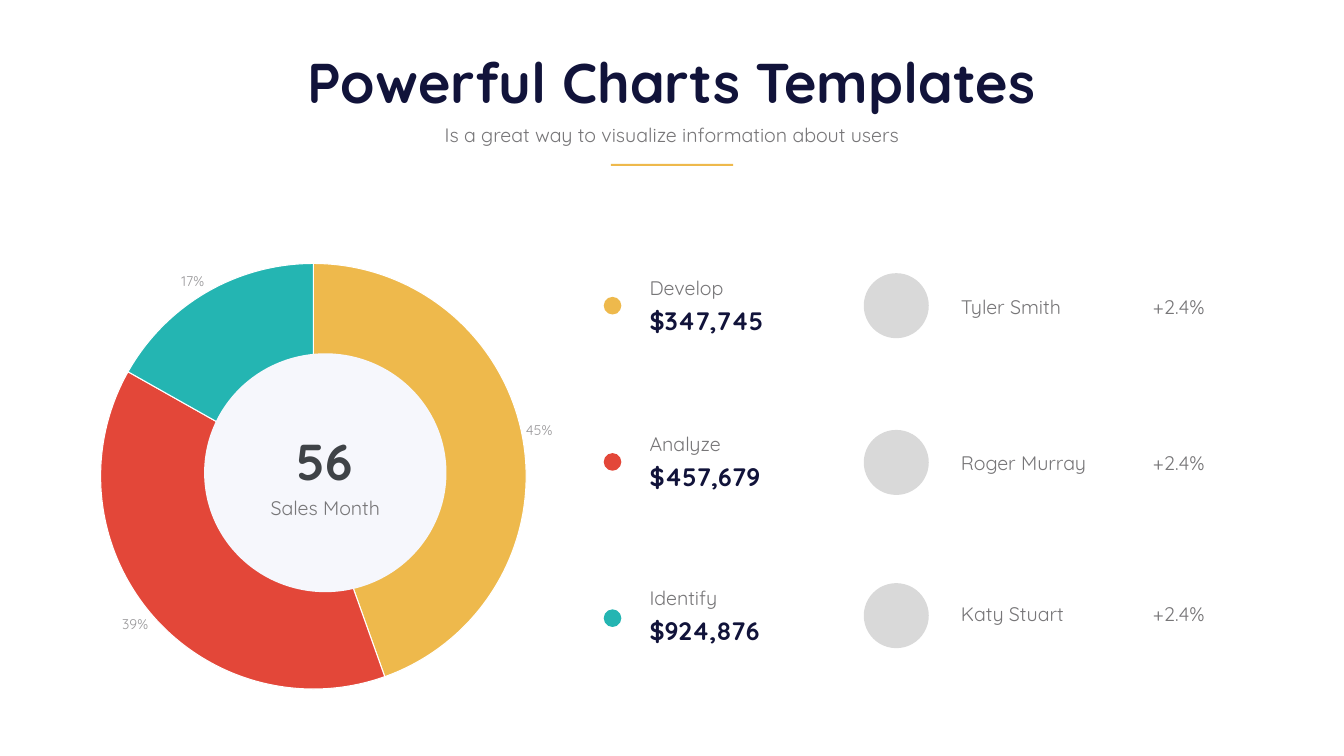
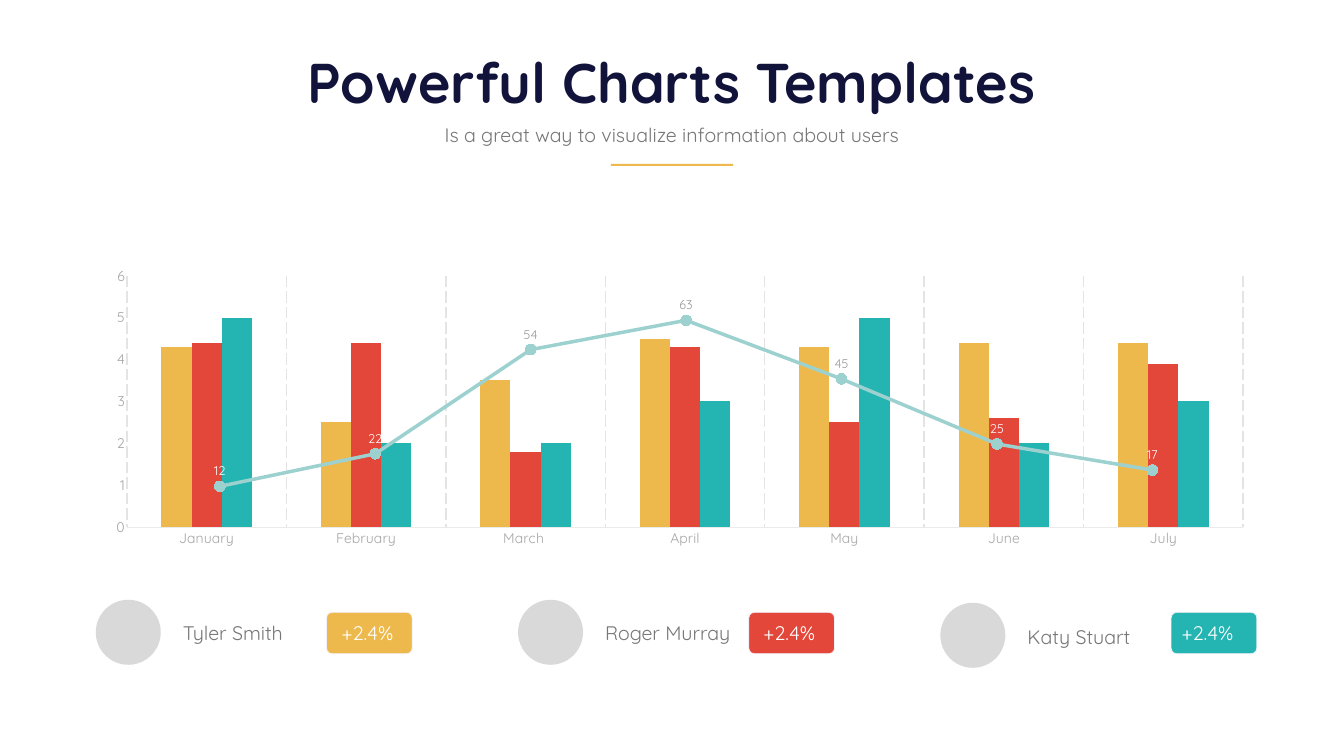
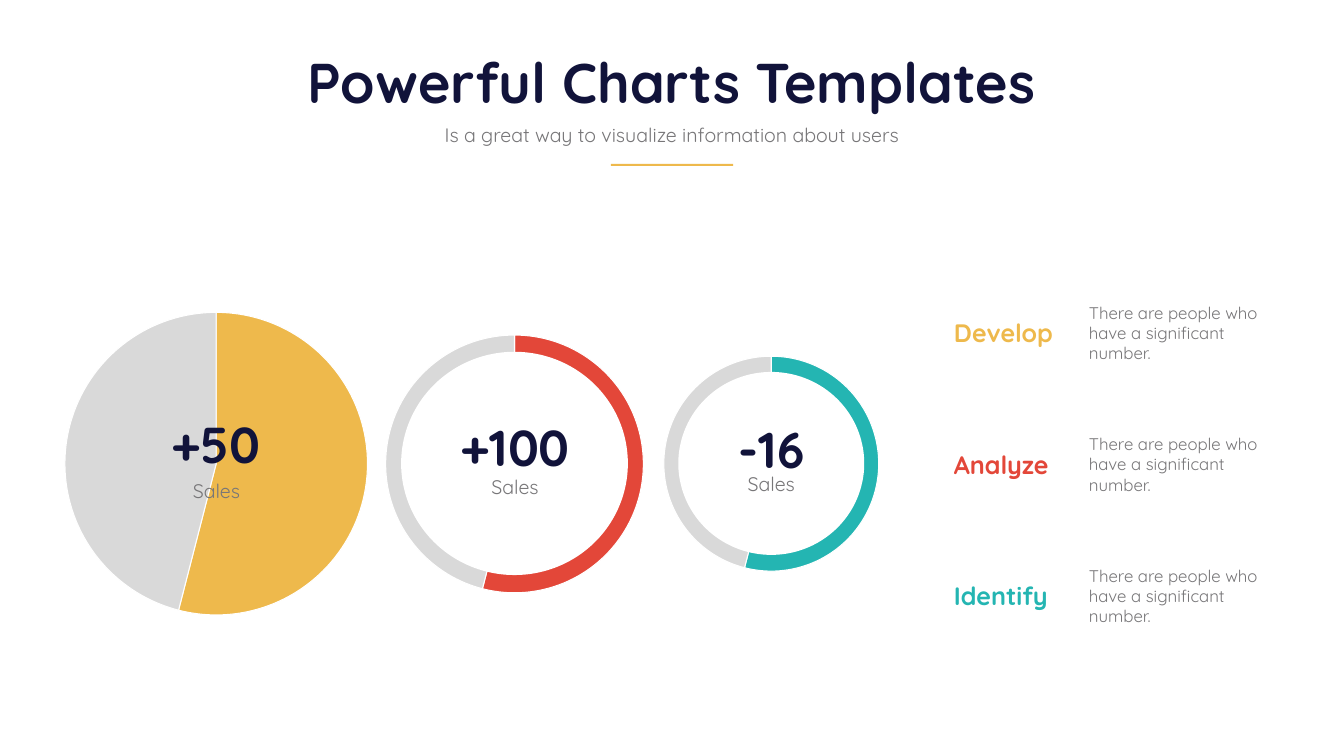
"""Builds three chart slides that share one heading."""
from lxml import etree
from pptx import Presentation
from pptx import util as u
from pptx.chart.data import CategoryChartData
from pptx.dml.color import RGBColor
from pptx.enum import chart as charts
from pptx.enum import dml, shapes, text

PX = 9144
FONT = "Quicksand"
NAVY = RGBColor(0x11, 0x13, 0x3A)
CHARCOAL = RGBColor(0x3F, 0x43, 0x47)
GREY = RGBColor(0x77, 0x76, 0x78)
LABEL_GREY = RGBColor(0x99, 0x98, 0x9A)
AXIS_GREY = RGBColor(0xA7, 0xA6, 0xA7)
AXIS_LINE = RGBColor(0xEB, 0xEA, 0xEB)
GRID_LINE = RGBColor(0xE4, 0xE4, 0xE4)
BADGE_LINE = RGBColor(0xF0, 0xF1, 0xFA)
SILVER = RGBColor(0xD9, 0xD9, 0xD9)
MIST = RGBColor(0xF6, 0xF7, 0xFC)
WHITE = RGBColor(0xFF, 0xFF, 0xFF)
AMBER = RGBColor(0xEE, 0xB9, 0x4C)
RED = RGBColor(0xE3, 0x47, 0x39)
TEAL = RGBColor(0x24, 0xB5, 0xB2)
PALE_TEAL = RGBColor(0x9C, 0xD1, 0xD0)
ACCENTS = (AMBER, RED, TEAL)
STEPS = ("Develop", "Analyze", "Identify")
PEOPLE = ("Tyler Smith", "Roger Murray", "Katy Stuart")
GROWTH = "+2.4%"
AVATAR = 129


def emu(*lengths):
    """Turn px lengths into EMU."""
    return [u.Emu(length * PX) for length in lengths]


def style_font(font, size, color, bold=False):
    """Set the face, size, colour and weight of a font."""
    font.name = FONT
    font.size = u.Pt(size)
    font.bold = bold
    font.color.rgb = color


def write(box, words, size, color, bold=False, centred=False):
    """Put one formatted paragraph into a box."""
    frame = box.text_frame
    frame.text = words
    frame.word_wrap = True
    frame.auto_size = text.MSO_AUTO_SIZE.SHAPE_TO_FIT_TEXT
    frame.vertical_anchor = text.MSO_ANCHOR.TOP
    para = frame.paragraphs[0]
    para.space_before = u.Pt(0)
    para.alignment = text.PP_ALIGN.CENTER if centred else text.PP_ALIGN.LEFT
    for span in para.runs:
        style_font(span.font, size, color, bold)


def add_text(page, place, words, size=28, color=GREY, bold=False):
    """Add a left-aligned text box."""
    box = page.shapes.add_textbox(*emu(*place))
    write(box, words, size, color, bold)


def add_centre_text(page, place, words, size=28, color=GREY, bold=False):
    """Add a centred text box with narrow margins."""
    box = page.shapes.add_textbox(*emu(*place))
    write(box, words, size, color, bold, centred=True)
    frame = box.text_frame
    frame.vertical_anchor = text.MSO_ANCHOR.MIDDLE
    (frame.margin_left, frame.margin_top,
     frame.margin_right, frame.margin_bottom) = emu(6, 6, 6, 6)


def add_shape(page, kind, place, fill):
    """Add a flat shape without outline."""
    shape = page.shapes.add_shape(kind, *emu(*place))
    shape.shadow.inherit = False
    shape.fill.solid()
    shape.fill.fore_color.rgb = fill
    shape.line.fill.background()
    return shape


def add_circle(page, place, fill):
    """Add a flat ellipse."""
    return add_shape(page, shapes.MSO_SHAPE.OVAL, place, fill)


def add_badge(page, place, fill):
    """Add a rounded, thinly outlined badge."""
    badge = add_shape(page, shapes.MSO_SHAPE.ROUNDED_RECTANGLE, place, fill)
    badge.adjustments[0] = 0.136
    badge.line.color.rgb = BADGE_LINE
    badge.line.width = u.Pt(1)


def add_page(deck):
    """Add a slide with the shared title, subtitle and rule."""
    page = deck.slides.add_slide(deck.slide_layouts[0])
    title, subtitle = page.shapes.title, page.placeholders[1]
    for box, place in ((title, (388, 90, 1890, 145)),
                       (subtitle, (855, 238, 956, 57))):
        box.left, box.top, box.width, box.height = emu(*place)
    write(title, "Powerful Charts Templates", 80, NAVY, True, True)
    write(subtitle, "Is a great way to visualize information about users",
          28, GREY, centred=True)
    add_shape(page, shapes.MSO_SHAPE.RECTANGLE, (1212, 325, 243, 4), AMBER)
    return page


def add_chart(page, kind, place, categories, *series, size=18):
    """Add a chart without title or legend."""
    data = CategoryChartData()
    data.categories = categories
    for number, values in enumerate(series, 1):
        data.add_series(f"Series {number}", values)
    chart = page.shapes.add_chart(kind, *emu(*place), data).chart
    chart.has_title = False
    chart.has_legend = False
    style_font(chart.font, size, GREY)
    return chart


def add_pie(page, place, values, colors):
    """Add a pie with one colour per slice and white edges."""
    categories = [str(number) for number in range(1, len(values) + 1)]
    chart = add_chart(page, charts.XL_CHART_TYPE.PIE, place, categories, values)
    for index, color in enumerate(colors):
        look = chart.plots[0].series[0].points[index].format
        look.fill.solid()
        look.fill.fore_color.rgb = color
        look.line.color.rgb = WHITE
        look.line.width = u.Pt(1.5)
    return chart


def set_plot_area(chart, **sides):
    """Fix the inner plot area as fractions of the chart."""
    area = chart.plots[0]._element.getparent()
    namespace = etree.QName(area).namespace
    for old in area.findall(f"{{{namespace}}}layout"):
        area.remove(old)
    layout = area.makeelement(f"{{{namespace}}}layout")
    area.insert(0, layout)
    manual = etree.SubElement(layout, f"{{{namespace}}}manualLayout")
    settings = {"layoutTarget": "inner", "xMode": "edge", "yMode": "edge", **sides}
    for name, value in settings.items():
        etree.SubElement(manual, f"{{{namespace}}}{name}").set("val", str(value))


def add_columns(page):
    """Add the monthly clustered columns."""
    months = ("January", "February", "March ", "April", "May", "June", "July")
    chart = add_chart(page, charts.XL_CHART_TYPE.COLUMN_CLUSTERED,
                      (137, 432, 2392, 682), months,
                      (4.3, 2.5, 3.5, 4.5, 4.3, 4.4, 4.4),
                      (4.4, 4.4, 1.8, 4.3, 2.5, 2.6, 3.9),
                      (5, 2, 2, 3, 5, 2, 3), size=20)
    set_plot_area(chart, x=0.048, y=0.169, w=0.926, h=0.731)
    plot = chart.plots[0]
    plot.gap_width = 229
    plot.overlap = 0
    plot.vary_by_categories = False
    for series, color in zip(plot.series, ACCENTS):
        series.format.fill.solid()
        series.format.fill.fore_color.rgb = color
    months_axis, values_axis = chart.category_axis, chart.value_axis
    for axis in (months_axis, values_axis):
        axis.major_tick_mark = charts.XL_TICK_MARK.NONE
        style_font(axis.tick_labels.font, 20, AXIS_GREY)
    values_axis.has_major_gridlines = False
    values_axis.format.line.fill.background()
    months_axis.format.line.color.rgb = AXIS_LINE
    months_axis.format.line.width = u.Pt(0.75)
    months_axis.has_major_gridlines = True
    grid = months_axis.major_gridlines.format.line
    grid.color.rgb = GRID_LINE
    grid.width = u.Pt(2)
    grid.dash_style = dml.MSO_LINE.LONG_DASH


def add_trend(page):
    """Add the labelled line that runs over the columns."""
    chart = add_chart(page, charts.XL_CHART_TYPE.LINE_MARKERS,
                      (237, 581, 2249, 471), [str(n) for n in range(1, 8)],
                      (12, 22, 54, 63, 45, 25, 17))
    chart.value_axis.has_major_gridlines = False
    chart.value_axis.visible = False
    chart.category_axis.visible = False
    chart.plots[0].vary_by_categories = False
    series = chart.plots[0].series[0]
    series.smooth = False
    series.format.line.color.rgb = PALE_TEAL
    series.format.line.width = u.Pt(5)
    marker = series.marker
    marker.style = charts.XL_MARKER_STYLE.CIRCLE
    marker.size = 15
    marker.format.fill.solid()
    marker.format.fill.fore_color.rgb = PALE_TEAL
    marker.format.line.color.rgb = PALE_TEAL
    labels = series.data_labels
    labels.show_value = True
    labels.position = charts.XL_LABEL_POSITION.ABOVE
    style_font(labels.font, 18, LABEL_GREY)
    for index in (0, 1, 5, 6):
        label = series.points[index].data_label
        style_font(label.font, 18, WHITE)
        label.position = charts.XL_LABEL_POSITION.ABOVE


def build_sales_page(deck):
    """Show the sales shares beside steps and people."""
    page = add_page(deck)
    pie = add_pie(page, (10, 495, 1269, 886), (45, 39, 17), ACCENTS)
    labels = pie.plots[0].series[0].data_labels
    labels.show_value = False
    labels.show_percentage = True
    labels.number_format = "0%"
    labels.number_format_is_linked = False
    labels.position = charts.XL_LABEL_POSITION.OUTSIDE_END
    style_font(labels.font, 20, LABEL_GREY)
    add_circle(page, (405, 701, 481, 474), MIST)
    add_centre_text(page, (466, 979, 359, 58), "Sales Month")
    add_centre_text(page, (498, 847, 294, 132), "56", 72, CHARCOAL, True)

    amounts = ("$347,745", "$457,679", "$924,876")
    tops = (542, 853, 1157)
    person_tops = (580, 889, 1190)
    rows = zip(STEPS, amounts, PEOPLE, ACCENTS, tops, person_tops)
    for index, (step, amount, person, color, top, person_top) in enumerate(rows):
        add_circle(page, (1198, 589 + 310 * index, 35, 35), color)
        add_text(page, (1279, top, 351, 57), step)
        add_text(page, (1279, top + 58, 351, 71), amount, 36, NAVY, True)
        add_circle(page, (1714, top, AVATAR, AVATAR), SILVER)
        add_text(page, (1897, person_top, 275, 57), person)
        add_text(page, (2278, person_top, 152, 57), GROWTH)


def build_months_page(deck):
    """Show the monthly columns and trend above the people."""
    page = add_page(deck)
    add_columns(page)
    add_trend(page)
    cards = zip(PEOPLE, ACCENTS, (20, 19, 11), (0, 0, 6))
    for index, (person, color, inset, drop) in enumerate(cards):
        left = 190 + 838 * index
        badge_left = left + 458
        add_circle(page, (left, 1190 + drop, AVATAR, AVATAR), SILVER)
        add_text(page, (left + 163, 1228 + drop, 289, 57), person)
        add_badge(page, (badge_left, 1215, 170, 82), color)
        add_text(page, (badge_left + inset, 1228, 152, 57), GROWTH, color=WHITE)


def build_rings_page(deck):
    """Show three shrinking pies beside the steps."""
    page = add_page(deck)
    pies = ((-21, 606, 900, 628), (635, 651, 772, 539), (1205, 693, 651, 454))
    holes = (None, (796, 698, 450, 443), (1346, 738, 369, 363))
    captions = ((250, 945, 359, 58), (868, 937, 308, 58), (1401, 930, 259, 58))
    figures = (("+50", (282, 813, 294, 132)), ("+100", (896, 819, 253, 132)),
               ("-16", (1425, 824, 213, 132)))
    for color, pie, hole, caption, (figure, place) in zip(
            ACCENTS, pies, holes, captions, figures):
        add_pie(page, pie, (54, 46), (color, SILVER))
        if hole:
            add_circle(page, hole, WHITE)
        add_centre_text(page, caption, "Sales")
        add_centre_text(page, place, figure, 72, NAVY, True)
    for index, (step, color) in enumerate(zip(STEPS, ACCENTS)):
        top = 595 + 261 * index
        add_text(page, (1883, top + 30, 268, 71), step, 36, color, True)
        add_text(page, (2151, top, 364, 131),
                 "There are people who have a significant number.", 24)


def main():
    """Build and save the deck."""
    deck = Presentation()
    deck.slide_width, deck.slide_height = emu(2667, 1500)
    build_sales_page(deck)
    build_months_page(deck)
    build_rings_page(deck)
    deck.save("out.pptx")


if __name__ == "__main__":
    main()
